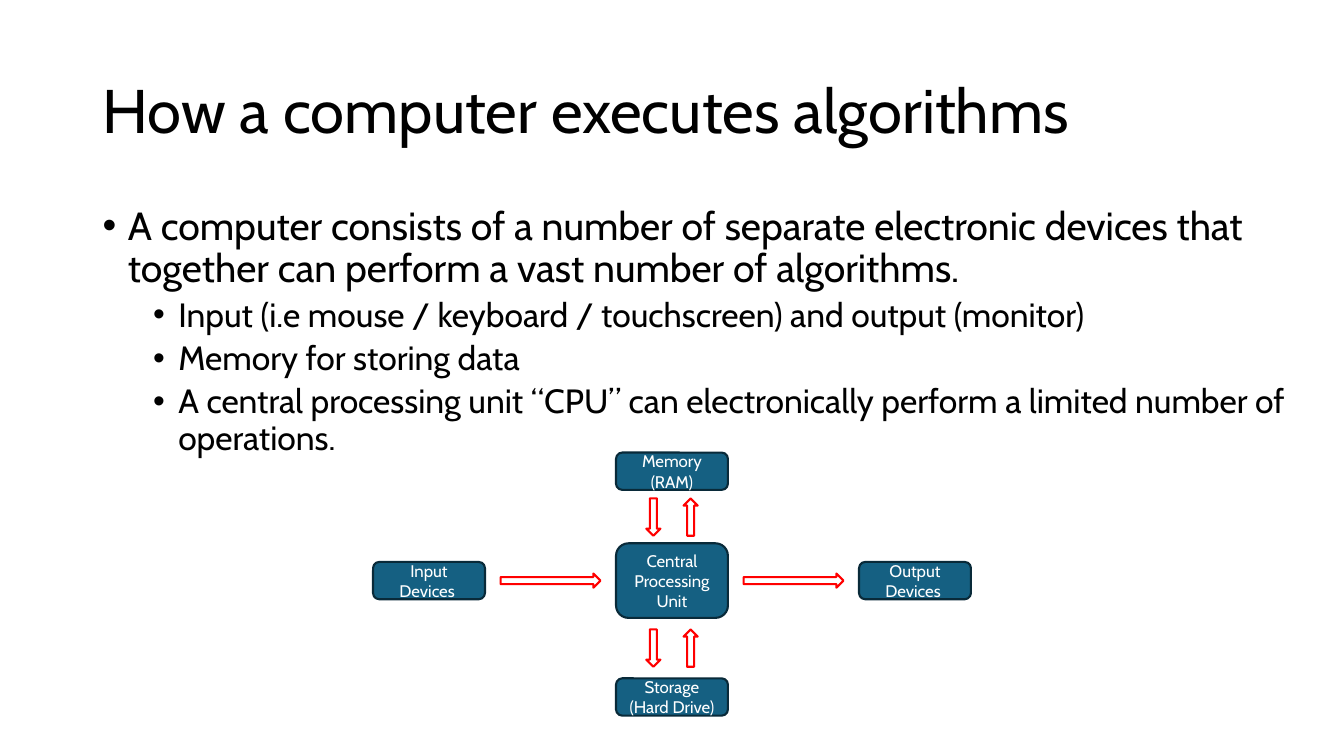
from lxml import etree
from pptx import Presentation
from pptx import util as u
from pptx.dml.color import RGBColor
from pptx.enum import shapes, text
from pptx.oxml import ns

PX = 9144
FONT = "Cabin"
COLORS = {"ink": "000000", "paper": "FFFFFF", "device": "156082", "edge": "092A39", "flow": "FF0000"}
BULLETS = [
    (0, "A computer consists of a number of separate electronic devices that "
        "together can perform a vast number of algorithms."),
    (1, "Input (i.e mouse / keyboard / touchscreen) and output (monitor)"),
    (1, "Memory for storing data"),
    (1, "A central processing unit “CPU” can electronically perform a limited number of operations."),
]
LEVELS = [{"size": 28, "before": 10, "indent": 25}, {"size": 24, "before": 5, "indent": 75}]


def px(n):
    """Turn px into EMU."""
    return u.Emu(n * PX)


def color(name):
    """Look up a named colour."""
    return RGBColor.from_string(COLORS[name])


def add_run(p, words, size, ink):
    """Add one styled run to a paragraph."""
    r = p.add_run()
    r.text = words
    r.font.name = FONT
    r.font.size = u.Pt(size)
    r.font.color.rgb = color(ink)


def add_text_box(s, box, anchor):
    """Add a wrapping text box and return its text frame."""
    tf = s.shapes.add_textbox(*map(px, box)).text_frame
    tf.word_wrap = True
    tf.vertical_anchor = anchor
    return tf


def add_title(s, box, words):
    """Place the slide title."""
    p = add_text_box(s, box, text.MSO_ANCHOR.MIDDLE).paragraphs[0]
    p.line_spacing = 0.9
    add_run(p, words, 44, "ink")


def add_bullets(s, box, items):
    """Place the two-level bullet list."""
    tf = add_text_box(s, box, text.MSO_ANCHOR.TOP)
    for i, (level, words) in enumerate(items):
        style = LEVELS[level]
        p = tf.add_paragraph() if i else tf.paragraphs[0]
        p.level = level
        p.line_spacing = 0.9
        p.space_before = u.Pt(style["before"])
        pPr = p._p.get_or_add_pPr()
        pPr.set("marL", str(px(style["indent"])))
        pPr.set("indent", str(px(-25)))
        etree.SubElement(pPr, ns.qn("a:buFont")).set("typeface", "Arial")
        etree.SubElement(pPr, ns.qn("a:buChar")).set("char", "•")
        add_run(p, words, style["size"], "ink")


def add_centred(s, kind, cx, cy, w, h, line):
    """Add a preset shape centred on a point."""
    sp = s.shapes.add_shape(kind, px(cx - w / 2), px(cy - h / 2), px(w), px(h))
    sp.shadow.inherit = False
    sp.line.color.rgb = color(line)
    sp.line.width = u.Pt(1.5)
    return sp


def add_device(s, cx, cy, h, lines):
    """Add a labelled device box."""
    sp = add_centred(s, shapes.MSO_SHAPE.ROUNDED_RECTANGLE, cx, cy, 111, h, "edge")
    sp.fill.solid()
    sp.fill.fore_color.rgb = color("device")
    tf = sp.text_frame
    tf.word_wrap = True
    tf.vertical_anchor = text.MSO_ANCHOR.MIDDLE
    for i, words in enumerate(lines):
        p = tf.add_paragraph() if i else tf.paragraphs[0]
        p.alignment = text.PP_ALIGN.CENTER
        add_run(p, words, 12, "paper")


def add_flow(s, cx, cy, length, rotation=0):
    """Add an outlined block arrow."""
    sp = add_centred(s, shapes.MSO_SHAPE.RIGHT_ARROW, cx, cy, length, 14, "flow")
    sp.fill.background()
    sp.rotation = rotation


def add_diagram(s, box):
    """Place the devices around the processor, with the flows between them."""
    x, y, w, h = box
    cx, cy, half = x + w / 2, y + 127, 111 / 2
    add_device(s, cx, y + 37 / 2, 37, ["Memory (RAM)"])
    add_device(s, x + half, cy, 37, ["Input Devices "])
    add_device(s, x + w - half, cy, 37, ["Output Devices "])
    add_device(s, cx, y + h - 37 / 2, 37, ["Storage", "(Hard Drive)"])
    add_device(s, cx, cy, 74, ["Central Processing Unit"])
    for side in (-1, 1):
        add_flow(s, cx + side * 120.5, cy, 99)
    for flow_y in (cy - 63, cy + 67):
        add_flow(s, cx - 18.5, flow_y, 37, 90)
        add_flow(s, cx + 18.5, flow_y, 37, 270)


def main():
    """Build and save the slide."""
    prs = Presentation()
    prs.slide_width, prs.slide_height = px(1333), px(750)
    s = prs.slides.add_slide(prs.slide_layouts[6])
    add_title(s, (92, 40, 1150, 145), "How a computer executes algorithms")
    add_bullets(s, (92, 200, 1223, 269), BULLETS)
    add_diagram(s, (370, 449, 593, 261))
    prs.save("out.pptx")


if __name__ == "__main__":
    main()
